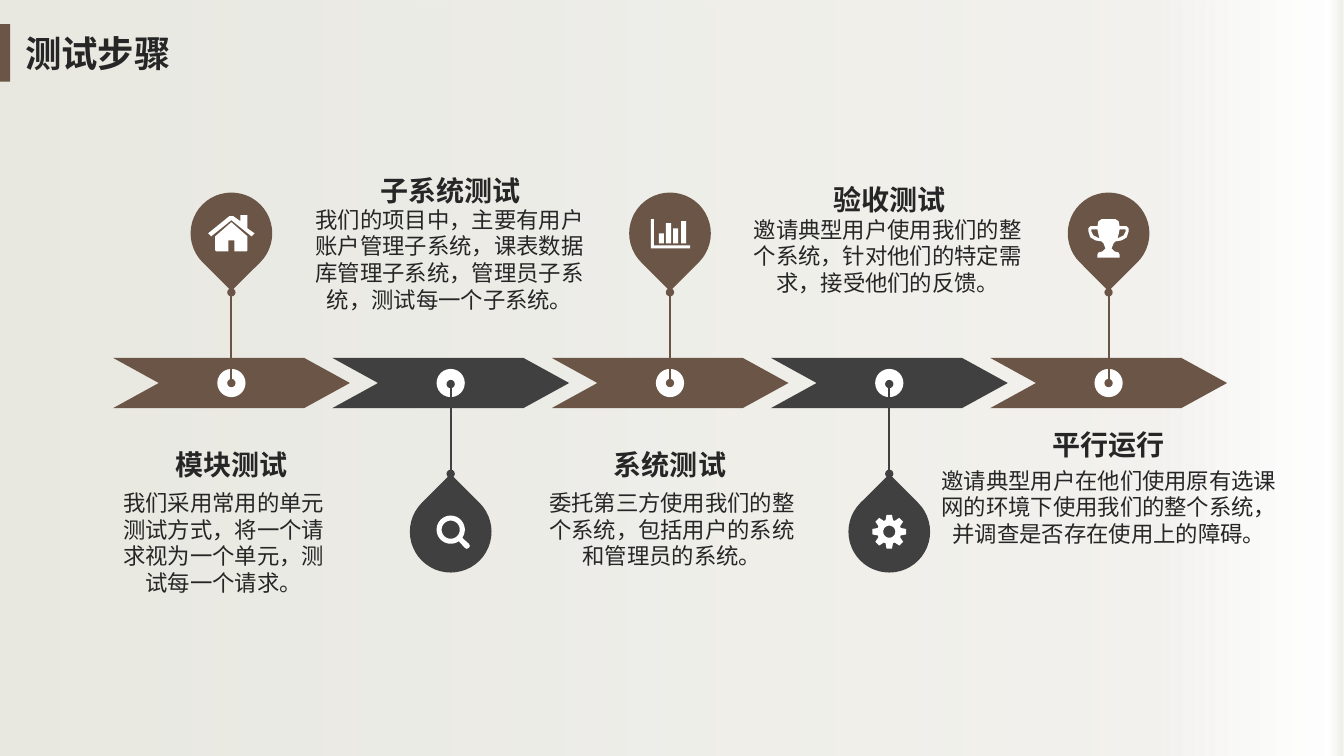
"""Build the slide of five testing steps along an arrow timeline."""
from math import cos, radians, sin

from lxml import etree
from pptx import Presentation
from pptx.dml.color import RGBColor
from pptx.enum import shapes, text
from pptx.oxml import ns
from pptx.util import Inches, Pt

TITLE = "测试步骤"
STEPS = [
    dict(name="模块测试", icon="home", name_top=4.44, body_at=(1.12, 4.85, 2.2, 1.08),
         body="我们采用常用的单元测试方式，将一个请求视为一个单元，测试每一个请求。"),
    dict(name="子系统测试", icon="search", name_top=1.72, body_at=(3.1, 2.04, 2.72, 1.08),
         body="我们的项目中，主要有用户账户管理子系统，课表数据库管理子系统，管理员子系统，测试每一个子系统。"),
    dict(name="系统测试", icon="chart", name_top=4.44, body_at=(5.4, 4.85, 2.53, 0.81),
         body="委托第三方使用我们的整个系统，包括用户的系统和管理员的系统。"),
    dict(name="验收测试", icon="gear", name_top=1.81, body_at=(7.41, 2.14, 2.79, 0.81),
         body="邀请典型用户使用我们的整个系统，针对他们的特定需求，接受他们的反馈。"),
    dict(name="平行运行", icon="trophy", name_top=4.24, body_at=(9.23, 4.63, 3.54, 0.81),
         body="邀请典型用户在他们使用原有选课网的环境下使用我们的整个系统，并调查是否存在使用上的障碍。"),
]
THEME = dict(
    font="Noto Sans CJK SC", ink="262626", white="FFFFFF",
    up="6A5546", down="404040", title=26, name=20, body=16, line=1.5,
    backdrop=[(0, "E7E7DF", 94), (86, "F0EFEB", 85), (99, "FFFFFF", 62), (100, "EBEBE5", 100)],
)
ARROW_LEFT, ARROW_TOP, ARROW_WIDTH, ARROW_HEIGHT = 1.12, 3.55, 2.35, 0.5
STEP_GAP = (9.82 - ARROW_LEFT) / (len(STEPS) - 1)
DOT, PIN, NAME_WIDTH = 0.28, 0.81, 1.69
UP = dict(color=THEME["up"], pin_top=1.91, turn=135, line=(2.9, 3.8))
DOWN = dict(color=THEME["down"], pin_top=4.87, turn=315, line=(4.7, 3.81))


def arc(radius, start=0, end=360, step=10, center=(0, 0)):
    """Return points along a circle."""
    return [(center[0] + radius * cos(radians(angle)), center[1] + radius * sin(radians(angle)))
            for angle in range(start, end + 1, step)]


def mirror(half):
    """Return a half outline followed by its reflection."""
    return half + [(-x, y) for x, y in reversed(half)]


def bar(left, top):
    """Return the outline of one bar of the chart icon."""
    return [(left, top), (left + 0.05, top), (left + 0.05, 0.1), (left, 0.1)]


HANDLE = [(0.11, -0.04), (0.17, -0.04), (0.17, -0.02), (0.15, 0.02), (0.09, 0.05), (0.1, 0.01)]
LENS = (0, -0.02)
ICONS = {
    "home": [
        [(0.2, 0.03), (0, -0.13), (-0.2, 0.03), (-0.23, 0), (-0.02, -0.17), (0.02, -0.17),
         (0.09, -0.12), (0.09, -0.18), (0.16, -0.18), (0.16, -0.05), (0.23, 0)],
        mirror([(0, -0.11), (0.16, 0.03), (0.16, 0.17), (0.15, 0.18), (0.03, 0.18), (0.03, 0.07)]),
    ],
    "search": [
        arc(0.14, 55, 395, 10, LENS) + [(0.18, 0.12), (0.19, 0.14), (0.18, 0.16), (0.16, 0.17), (0.14, 0.16)],
        arc(0.09, center=LENS),
    ],
    "chart": [
        [(0.2, 0.15), (-0.19, 0.15), (-0.19, -0.14), (-0.16, -0.14), (-0.16, 0.12), (0.2, 0.12)],
        bar(-0.11, 0), bar(-0.04, -0.1), bar(0.03, -0.05), bar(0.11, -0.12),
    ],
    "gear": [
        [point for tooth in range(0, 360, 45)
         for radius, turn in ((0.12, -18), (0.17, -9), (0.17, 9), (0.12, 18))
         for point in arc(radius, tooth + turn, tooth + turn)],
        arc(0.06),
    ],
    "trophy": [
        mirror([(0.07, -0.14), (0.1, -0.12), (0.11, -0.07), (0.18, -0.07), (0.2, -0.05), (0.2, -0.02),
                (0.18, 0.04), (0.13, 0.07), (0.07, 0.08), (0.05, 0.1), (0.03, 0.15), (0.06, 0.18),
                (0.1, 0.19), (0.11, 0.21), (0.11, 0.24)]),
        HANDLE, [(-x, y) for x, y in HANDLE],
    ],
}


def paint(shape, color):
    """Give a shape a plain fill without line or shadow."""
    shape.shadow.inherit = False
    shape.fill.solid()
    shape.fill.fore_color.rgb = RGBColor.from_string(color)
    shape.line.fill.background()
    return shape


def add_preset(slide, kind, box, color):
    """Add a filled preset shape."""
    return paint(slide.shapes.add_shape(kind, *map(Inches, box)), color)


def add_backdrop(slide, width, height):
    """Cover the slide with the translucent gradient."""
    shape = add_preset(slide, shapes.MSO_SHAPE.RECTANGLE, (0, 0, width, height), THEME["white"])
    shape.fill.gradient()
    shape.fill.gradient_angle = 0
    stops = shape._element.spPr.find(".//" + ns.qn("a:gsLst"))
    for stop in list(stops):
        stops.remove(stop)
    for position, color, alpha in THEME["backdrop"]:
        stop = etree.SubElement(stops, ns.qn("a:gs"), pos=str(position * 1000))
        tint = etree.SubElement(stop, ns.qn("a:srgbClr"), val=color)
        etree.SubElement(tint, ns.qn("a:alpha"), val=str(alpha * 1000))


def add_text(slide, words, box, size, bold=False, align=text.PP_ALIGN.CENTER, inset=(0, 0)):
    """Add one paragraph of text."""
    frame = slide.shapes.add_textbox(*map(Inches, box)).text_frame
    side, end = map(Inches, inset)
    layout = dict(word_wrap=True, auto_size=text.MSO_AUTO_SIZE.SHAPE_TO_FIT_TEXT,
                  margin_left=side, margin_right=side, margin_top=end, margin_bottom=end)
    for key, value in layout.items():
        setattr(frame, key, value)
    paragraph = frame.paragraphs[0]
    paragraph.alignment = align
    run = paragraph.add_run()
    run.text = words
    for key, value in dict(name=THEME["font"], size=Pt(size), bold=bold).items():
        setattr(run.font, key, value)
    run.font.color.rgb = RGBColor.from_string(THEME["ink"])
    etree.SubElement(run._r.get_or_add_rPr(), ns.qn("a:ea"), typeface=THEME["font"])


def add_stem(slide, x, ends, color):
    """Add the round-ended line from a pin to its dot."""
    start, end = ends
    stem = slide.shapes.add_connector(shapes.MSO_CONNECTOR.STRAIGHT, *map(Inches, (x, start, x, end)))
    stem.line.width = Pt(THEME["line"])
    stem.line.color.rgb = RGBColor.from_string(color)
    line = stem.line._get_or_add_ln()
    for tag in ("a:headEnd", "a:tailEnd"):
        etree.SubElement(line, ns.qn(tag), type="oval")
    etree.SubElement(stem._element.spPr, ns.qn("a:effectLst"))


def add_icon(slide, outlines, x, y):
    """Draw an icon around a center as one freeform."""
    placed = [[(Inches(x + dx), Inches(y + dy)) for dx, dy in outline] for outline in outlines]
    builder = slide.shapes.build_freeform(*placed[0][0], scale=1.0)
    for index, outline in enumerate(placed):
        if index:
            builder.move_to(*outline[0])
        builder.add_line_segments(outline[1:], close=True)
    paint(builder.convert_to_shape(), THEME["white"])


def add_step(slide, index, step):
    """Add one arrow with its dot, stem, pin, icon and texts."""
    side = DOWN if index % 2 else UP
    left = ARROW_LEFT + index * STEP_GAP
    center = left + ARROW_WIDTH / 2
    arrow = add_preset(slide, shapes.MSO_SHAPE.NOTCHED_RIGHT_ARROW,
                       (left, ARROW_TOP, ARROW_WIDTH, ARROW_HEIGHT), side["color"])
    arrow.adjustments[0], arrow.adjustments[1] = 1, 0.91
    dot_top = ARROW_TOP + (ARROW_HEIGHT - DOT) / 2
    add_preset(slide, shapes.MSO_SHAPE.OVAL, (center - DOT / 2, dot_top, DOT, DOT), THEME["white"])
    add_stem(slide, center, side["line"], side["color"])
    name_box = (center - NAME_WIDTH / 2, step["name_top"], NAME_WIDTH, 0.34)
    add_text(slide, step["name"], name_box, THEME["name"], bold=True)
    add_text(slide, step["body"], step["body_at"], THEME["body"])
    pin = add_preset(slide, shapes.MSO_SHAPE.TEAR, (center - PIN / 2, side["pin_top"], PIN, PIN), side["color"])
    pin.rotation = side["turn"]
    add_icon(slide, ICONS[step["icon"]], center, side["pin_top"] + PIN / 2)


presentation = Presentation()
presentation.slide_width, presentation.slide_height = Inches(13.33), Inches(7.5)
slide = presentation.slides.add_slide(presentation.slide_layouts[6])
add_backdrop(slide, 13.33, 7.5)
add_preset(slide, shapes.MSO_SHAPE.RECTANGLE, (0, 0.24, 0.1, 0.57), THEME["up"])
for index, step in enumerate(STEPS):
    add_step(slide, index, step)
add_text(slide, TITLE, (0.15, 0.26, 3.91, 0.54), THEME["title"], True, text.PP_ALIGN.LEFT, (0.1, 0.05))
presentation.save("out.pptx")
